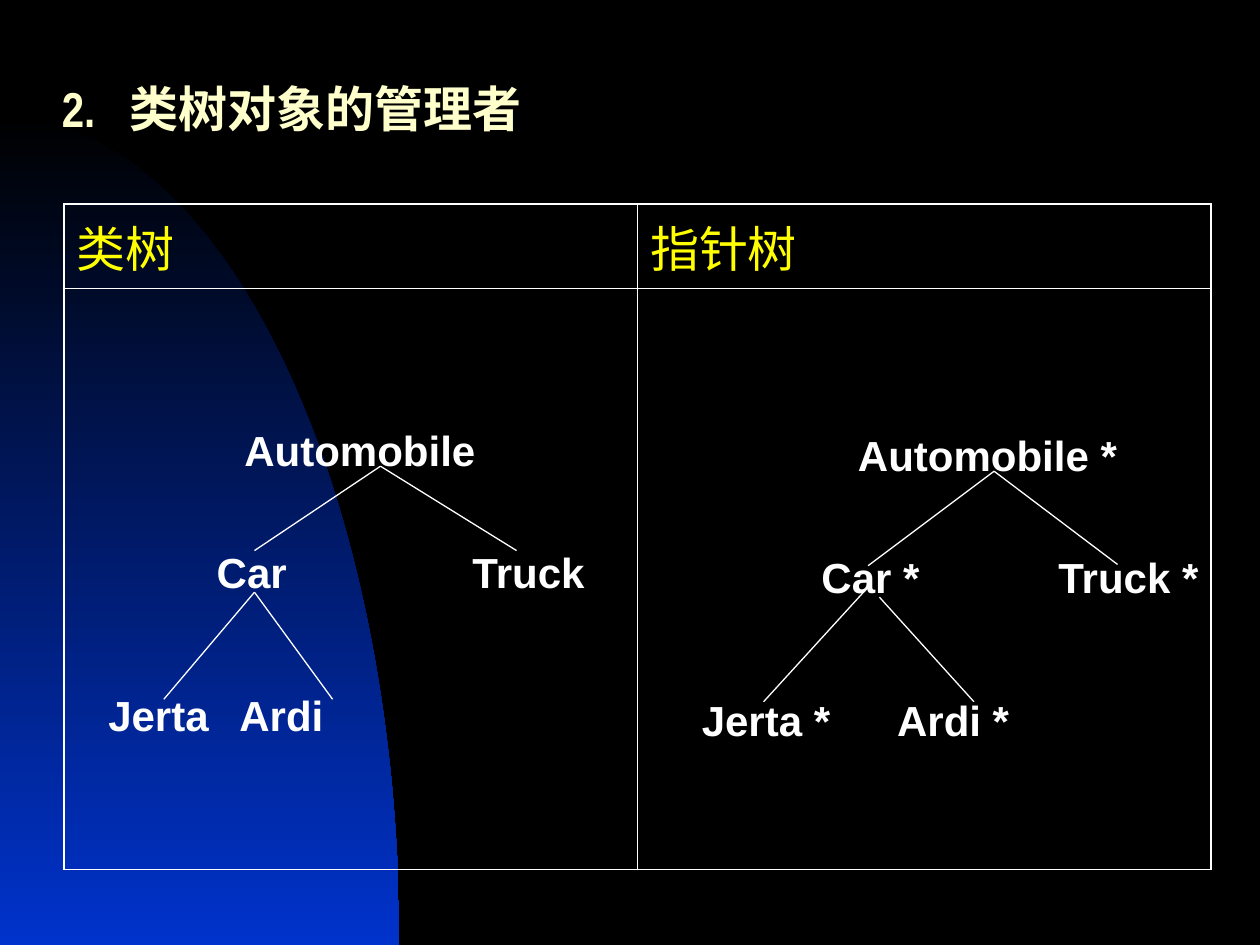
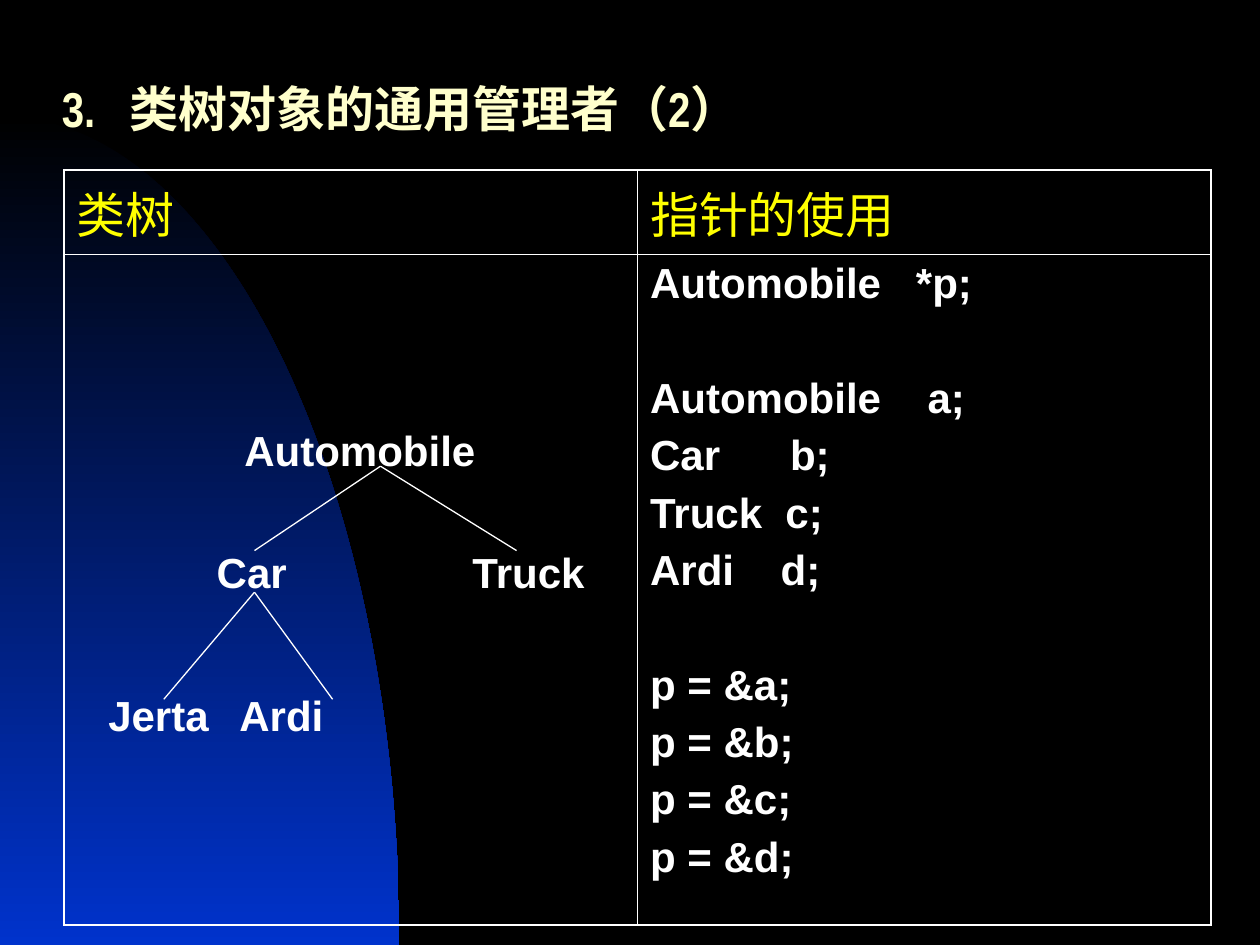
from math import cos, pi, sin

from lxml.etree import SubElement
from pptx import Presentation
from pptx.dml.color import RGBColor
from pptx.enum.shapes import MSO_CONNECTOR
from pptx.enum.text import MSO_ANCHOR, MSO_AUTO_SIZE, PP_ALIGN
from pptx.oxml.ns import qn
from pptx.util import Inches, Pt

HUES = {"back": "000000", "glow": "0033CC", "title": "FFFFCC",
        "head": "FFFF00", "text": "FFFFFF"}
HAN = "Noto Sans CJK SC"
ROWS = (3.57, 4.54, 5.67)

CLASSES = {
    "drop": 0,
    "nodes": [("Automobile", 1.94, 0), ("Car", 1.72, 1), ("Truck", 3.75, 1),
              ("Jerta", 0.86, 2), ("Ardi", 1.9, 2)],
    "links": [(3.02, 3.7, 2.02, 4.37), (3.02, 3.7, 4.1, 4.37),
              (2.02, 4.7, 1.3, 5.55), (2.02, 4.7, 2.64, 5.55)],
}
POINTERS = {
    "drop": 0.04,
    "nodes": [("Automobile *", 6.81, 0), ("Car *", 6.52, 1), ("Truck *", 8.4, 1),
              ("Jerta *", 5.57, 2), ("Ardi *", 7.12, 2)],
    "links": [(7.89, 3.74, 6.89, 4.49), (7.89, 3.74, 8.87, 4.48),
              (6.89, 4.66, 6.06, 5.57), (6.98, 4.74, 7.73, 5.57)],
}
CODE = [
    ["Automobile   *p;"],
    ["Automobile    a;", "Car      b;", "Truck  c;", "Ardi    d;"],
    ["p = &a;", "p = &b;", "p = &c;", "p = &d;"],
]
PAGES = [
    {"title": "2.\t类树对象的管理者", "heads": ("类树", "指针树"),
     "top": 1.62, "body": 4.61, "trees": [CLASSES, POINTERS], "code": []},
    {"title": "3.\t类树对象的通用管理者（2）", "heads": ("类树", "指针的使用"),
     "top": 1.35, "body": 5.32, "trees": [CLASSES], "code": CODE},
]


def tint(name):
    return RGBColor.from_string(HUES[name])


def write(frame, text, size=24, font="Arial", hue="text", bold=True,
          align=PP_ALIGN.LEFT, tab=None, before=0, line=None, more=False):
    para = frame.add_paragraph() if more else frame.paragraphs[0]
    if tab:
        stops = SubElement(para._p.get_or_add_pPr(), qn("a:tabLst"))
        SubElement(stops, qn("a:tab"), pos=str(Inches(tab)), algn="l")
    para.alignment = align
    para.space_before = Pt(before)
    if line:
        para.line_spacing = line
    run = para.add_run()
    run.text = text
    run.font.size, run.font.bold, run.font.name = Pt(size), bold, font
    run.font.color.rgb = tint(hue)
    SubElement(run._r.get_or_add_rPr(), qn("a:ea"), typeface=HAN)


def set_back(master, slide):
    master.background.fill.solid()
    master.background.fill.fore_color.rgb = tint("back")
    wide, top, tall, steps = 3.17, 0.92, 6.58, 90
    turns = [pi / 2 * i / steps for i in range(steps + 1)]
    curve = [(wide * sin(t), top + tall * (1 - cos(t))) for t in turns]
    path = slide.shapes.build_freeform(0, Inches(top + tall), scale=1.0)
    path.add_line_segments([(Inches(x), Inches(y)) for x, y in curve])
    arc = path.convert_to_shape()
    arc.shadow.inherit = False
    arc.line.fill.background()
    arc.fill.gradient()
    arc.fill.gradient_angle = 270
    for stop, name in zip(arc.fill.gradient_stops, ("back", "glow")):
        stop.color.rgb = tint(name)
    master.shapes.element.insert(2, arc.element)


def add_title(slide, text):
    title = slide.shapes.title
    title.left, title.top = Inches(0.39), Inches(0.52)
    title.width, title.height = Inches(9.25), Inches(0.79)
    frame = title.text_frame
    frame.auto_size = MSO_AUTO_SIZE.NONE
    frame.vertical_anchor = MSO_ANCHOR.MIDDLE
    write(frame, text, size=28, font="Arial Narrow", hue="title", tab=0.54, line=0.7)


def edge(cell, row, col):
    outer = {"L": col == 0, "R": col == 1, "T": row == 0, "B": row == 1}
    props = cell._tc.get_or_add_tcPr()
    for side, thick in outer.items():
        line = SubElement(props, qn("a:ln" + side), w=str(Pt(1.08 if thick else 0.45)))
        fill = SubElement(line, qn("a:solidFill"))
        SubElement(fill, qn("a:srgbClr"), val=HUES["text"])


def add_grid(slide, page):
    head = 0.67
    grid = slide.shapes.add_table(2, 2, Inches(0.51), Inches(page["top"]),
                                  Inches(9.1), Inches(head + page["body"])).table
    grid.first_row = grid.horz_banding = False
    for row, tall in enumerate((head, page["body"])):
        grid.rows[row].height = Inches(tall)
        for col in range(2):
            cell = grid.cell(row, col)
            edge(cell, row, col)
            cell.fill.background()
    for col, text in enumerate(page["heads"]):
        write(grid.cell(0, col).text_frame, text, size=28, font=HAN, hue="head",
              bold=False, align=PP_ALIGN.JUSTIFY)
    frame = grid.cell(1, 1).text_frame
    for part, lines in enumerate(page["code"]):
        for i, text in enumerate(lines):
            gap = 6 if i else 38.8 if part else 0
            write(frame, text, before=gap, more=bool(part or i))


def add_tree(slide, tree):
    tall = 0.4
    for text, left, row in tree["nodes"]:
        top = ROWS[row] + tree["drop"] - tall / 2
        box = slide.shapes.add_textbox(Inches(left), Inches(top),
                                       Inches(0.2 * len(text)), Inches(tall))
        frame = box.text_frame
        frame.margin_left = frame.margin_right = 0
        frame.margin_top = frame.margin_bottom = 0
        frame.vertical_anchor = MSO_ANCHOR.MIDDLE
        frame.word_wrap = True
        write(frame, text)
    for ends in tree["links"]:
        link = slide.shapes.add_connector(MSO_CONNECTOR.STRAIGHT, *map(Inches, ends))
        link.line.color.rgb = tint("text")
        link.line.width = Pt(0.75)
        SubElement(link.element.spPr, qn("a:effectLst"))


def main():
    deck = Presentation()
    deck.slide_width, deck.slide_height = Inches(10), Inches(7.5)
    for i, page in enumerate(PAGES):
        slide = deck.slides.add_slide(deck.slide_layouts[5])
        if i == 0:
            set_back(deck.slide_master, slide)
        add_title(slide, page["title"])
        add_grid(slide, page)
        for tree in page["trees"]:
            add_tree(slide, tree)
    deck.save("out.pptx")


if __name__ == "__main__":
    main()
